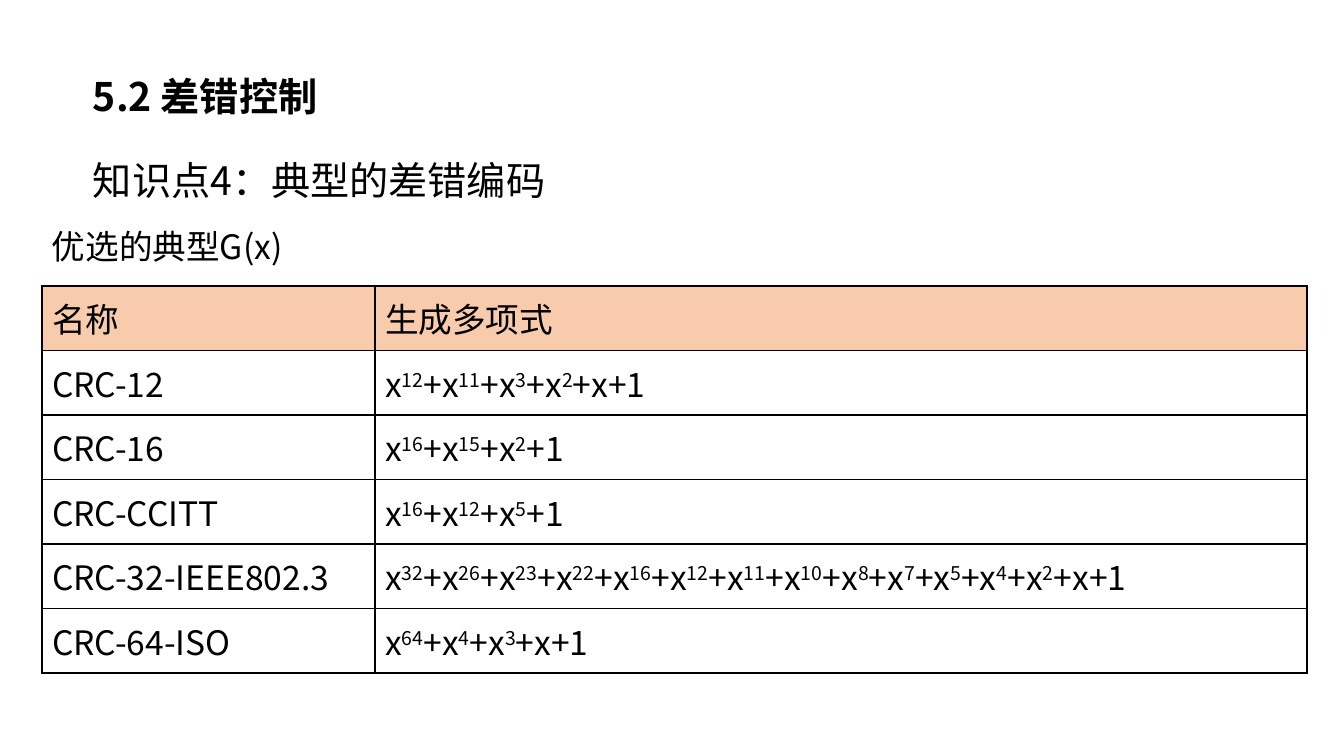
from lxml import etree
from pptx import Presentation
from pptx import util as u
from pptx.dml.color import RGBColor
from pptx.enum import text
from pptx.oxml.ns import qn

PX = 914400 / 100.8
FONT = "Noto Sans CJK SC"
BLACK = RGBColor(0x00, 0x00, 0x00)
PEACH = RGBColor(0xF8, 0xCB, 0xAD)

HEADER = ("名称", "生成多项式")
# Name of each code and the exponents of its generator polynomial
CODES = [
    ("CRC-12", (12, 11, 3, 2, 1, 0)),
    ("CRC-16", (16, 15, 2, 0)),
    ("CRC-CCITT", (16, 12, 5, 0)),
    ("CRC-32-IEEE802.3", (32, 26, 23, 22, 16, 12, 11, 10, 8, 7, 5, 4, 2, 1, 0)),
    ("CRC-64-ISO", (64, 4, 3, 1, 0)),
]


def px(n):
    return u.Emu(round(n * PX))


def set_attrs(obj, values):
    for name, value in values.items():
        setattr(obj, name, value)


def add_run(p, words, size, bold=False, raised=False):
    r = p.add_run()
    r.text = words
    set_attrs(r.font, {"name": FONT, "size": u.Pt(size), "bold": bold})
    r.font.color.rgb = BLACK
    rPr = r.font._element
    etree.SubElement(rPr, qn("a:ea")).set("typeface", FONT)
    if raised:
        rPr.set("baseline", "30000")


def format_box(sp, box, words, size, bold=False, inset=(10, 5),
               anchor=text.MSO_ANCHOR.TOP, spacing=1.0):
    set_attrs(sp, dict(zip(("left", "top", "width", "height"), map(px, box))))
    tf = sp.text_frame
    side, edge = map(px, inset)
    set_attrs(tf, {"word_wrap": True, "auto_size": text.MSO_AUTO_SIZE.NONE,
                   "vertical_anchor": anchor, "margin_left": side,
                   "margin_right": side, "margin_top": edge, "margin_bottom": edge})
    p = tf.paragraphs[0]
    set_attrs(p, {"alignment": text.PP_ALIGN.LEFT, "line_spacing": spacing})
    add_run(p, words, size, bold)


def add_polynomial(p, exponents):
    sign = ""
    for power in exponents:
        add_run(p, sign + ("x" if power else "1"), 24)
        if power > 1:
            add_run(p, str(power), 24, raised=True)
        sign = "+"


def add_borders(cell):
    tcPr = cell._tc.get_or_add_tcPr()
    for i, side in enumerate(("lnL", "lnR", "lnT", "lnB")):
        ln = etree.Element(qn("a:" + side), w=str(u.Pt(1)))
        fill = etree.SubElement(ln, qn("a:solidFill"))
        etree.SubElement(fill, qn("a:srgbClr")).set("val", str(BLACK))
        tcPr.insert(i, ln)


def add_code_table(s, left, top, widths, height):
    rows = [HEADER] + CODES
    n = len(rows)
    table = s.shapes.add_table(n, len(widths), px(left), px(top),
                               px(sum(widths)), px(height)).table
    set_attrs(table, {"first_row": False, "horz_banding": False})
    for column, width in zip(table.columns, widths):
        column.width = px(width)
    for i, values in enumerate(rows):
        table.rows[i].height = px(height / n)
        for j, value in enumerate(values):
            cell = table.cell(i, j)
            cell.vertical_anchor = text.MSO_ANCHOR.MIDDLE
            if i == 0:
                cell.fill.solid()
                cell.fill.fore_color.rgb = PEACH
            else:
                cell.fill.background()
            add_borders(cell)
            p = cell.text_frame.paragraphs[0]
            if isinstance(value, str):
                add_run(p, value, 24)
            else:
                add_polynomial(p, value)


def main():
    prs = Presentation()
    set_attrs(prs, {"slide_width": px(1344), "slide_height": px(756)})
    s = prs.slides.add_slide(prs.slide_layouts[5])

    # Section title and topic
    format_box(s.shapes.title, (81, 66, 973, 59), "5.2 差错控制", 28,
               bold=True, inset=(12, 6))
    topic = s.shapes.add_textbox(0, 0, 0, 0)
    format_box(topic, (81, 116, 1226, 105), "知识点4：典型的差错编码", 28,
               inset=(12, 6), anchor=text.MSO_ANCHOR.MIDDLE, spacing=1.5)

    # Table of generator polynomials with its caption
    add_code_table(s, 42, 286, (333, 932), 387)
    caption = s.shapes.add_textbox(0, 0, 0, 0)
    format_box(caption, (42, 221, 405, 50), "优选的典型G(x)", 24)

    prs.save("out.pptx")


if __name__ == "__main__":
    main()
